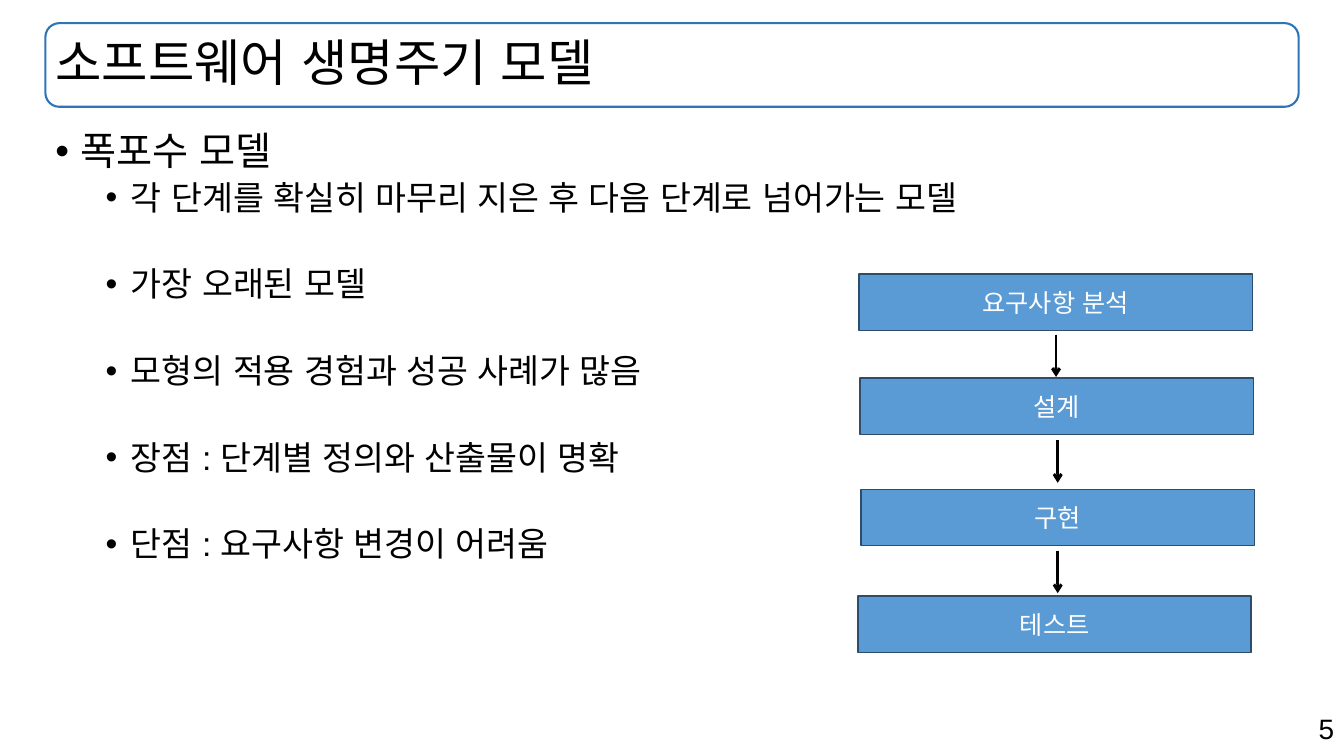
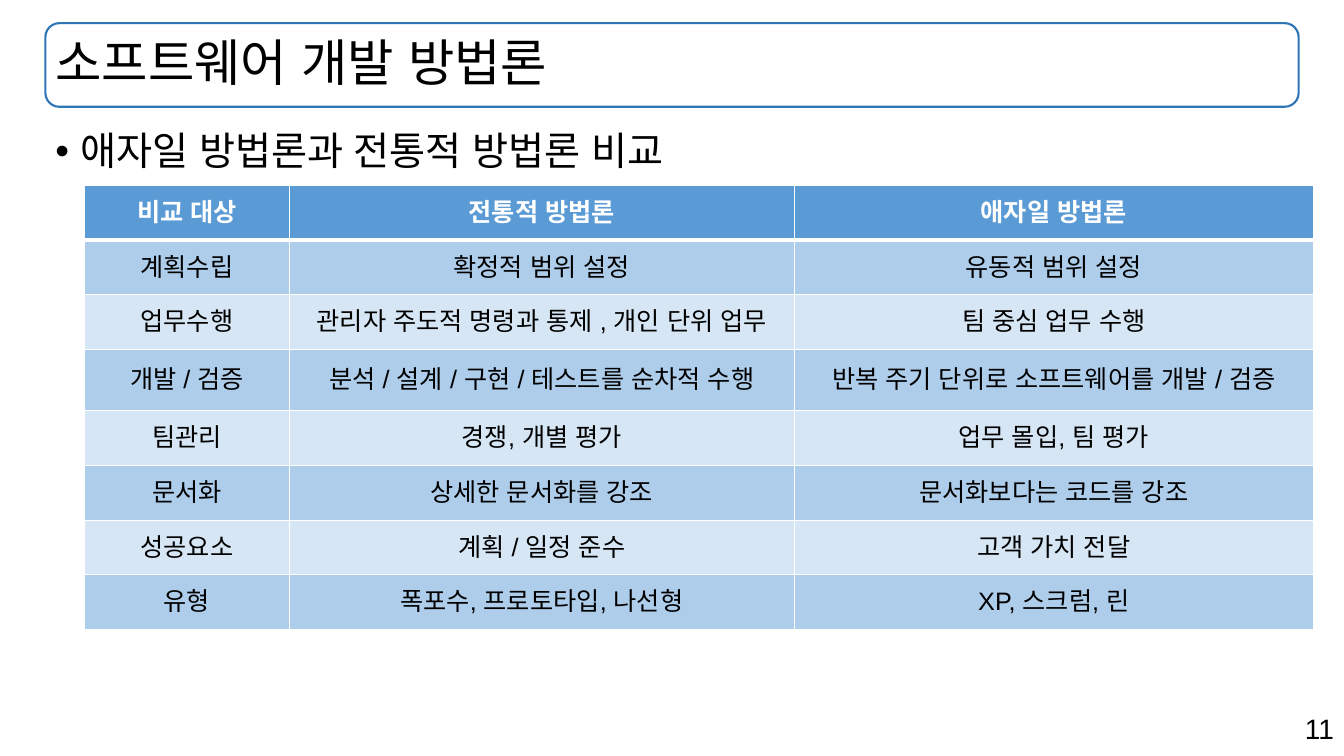
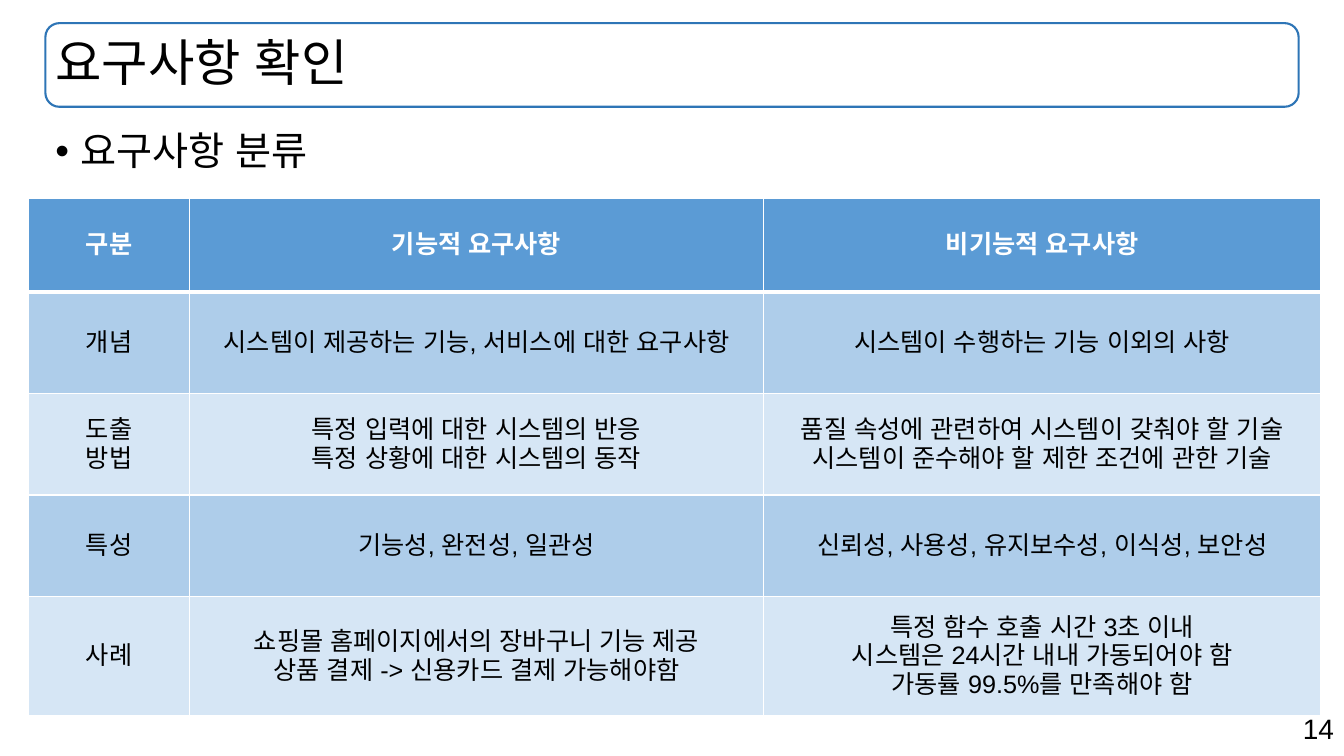
from pptx import Presentation
from pptx.dml.color import RGBColor as Rgb
from pptx.enum.lang import MSO_LANGUAGE_ID as Lang
from pptx.enum.shapes import MSO_CONNECTOR as Link, MSO_SHAPE as Form
from pptx.enum.text import MSO_ANCHOR as Anchor, MSO_AUTO_SIZE as Fit, PP_ALIGN as Align
from pptx.oxml.ns import qn
from pptx.util import Inches, Pt
from lxml.etree import SubElement as sub

WIDE, HIGH = Inches(13.33), Inches(7.5)
COLS, ROWS = 40, 30
FACE = "Arial"
HUES = {
    "ink": "000000", "paper": "FFFFFF", "frame": "2E75B6", "blue": "5B9BD5",
    "edge": "2D4D6A", "dark": "AECDEA", "light": "D6E6F5",
}
BAND = (1.35, 0.92, 37.3, 3.32)


def hue(name):
    return Rgb.from_string(HUES[name])


def col(num):
    return round(WIDE * num / COLS)


def row(num):
    return round(HIGH * num / ROWS)


def area(left, top, wide, high):
    return col(left), row(top), col(wide), row(high)


def write(frame, text, size=18, color="ink", bold=False, align=Align.CENTER,
          lead=1, gaps=(), dents=()):
    for num, line in enumerate(text.split("\n")):
        para = frame.paragraphs[0] if num == 0 else frame.add_paragraph()
        if dents:
            props = para._p.get_or_add_pPr()
            props.set("marL", str(Inches(dents[num])))
            props.set("indent", str(Inches(-0.25)))
            sub(props, qn("a:buFont"), typeface=FACE)
            sub(props, qn("a:buChar"), char="•")
        para.alignment = align
        para.line_spacing = lead
        if num and gaps:
            para.space_before = Pt(gaps[num])
        run = para.add_run()
        run.text = line
        font = run.font
        font.name = FACE
        font.size = Pt(size if num == 0 or not dents else size - 4)
        font.bold = bold
        font.language_id = Lang.KOREAN
        font.color.rgb = hue(color)
        sub(run._r.get_or_add_rPr(), qn("a:ea"), typeface=FACE)


class Deck:
    """Holds the shared style and the slide being built."""

    def __init__(self):
        self.show = Presentation()
        self.show.slide_width, self.show.slide_height = WIDE, HIGH
        self.page = None

    def start(self, title, num):
        self.page = self.show.slides.add_slide(self.show.slide_layouts[5])
        head = self.page.shapes.title
        head.left, head.top, head.width, head.height = area(*BAND)
        frame = head.text_frame
        frame.auto_size = Fit.NONE
        frame.vertical_anchor = Anchor.MIDDLE
        write(frame, title, size=36, align=Align.LEFT, lead=0.9)
        self.shape(Form.ROUNDED_RECTANGLE, BAND, None, "frame", 1.5)
        self.text((28.3, 28.04, 11.7, 1.76), str(num), size=20, align=Align.RIGHT)

    def shape(self, form, spot, fill, line, width):
        item = self.page.shapes.add_shape(form, *area(*spot))
        item.shadow.inherit = False
        if fill:
            item.fill.solid()
            item.fill.fore_color.rgb = hue(fill)
        else:
            item.fill.background()
        item.line.color.rgb = hue(line)
        item.line.width = Pt(width)
        return item

    def text(self, spot, text, **style):
        frame = self.page.shapes.add_textbox(*area(*spot)).text_frame
        frame.word_wrap = True
        write(frame, text, **style)

    def points(self, head, *items):
        count = len(items)
        self.text((1.35, 5.04, 37.3, 24.52), "\n".join((head, *items)), size=28,
                  align=Align.LEFT, lead=0.9, dents=[0.25] + [0.75] * count,
                  gaps=[0, 5] + [36] * (count - 1))

    def step(self, left, top, text):
        box = self.shape(Form.RECTANGLE, (left, top, 11.7, 2.24), "blue", "edge", 1)
        box.text_frame.vertical_anchor = Anchor.MIDDLE
        write(box.text_frame, text, color="paper")

    def arrow(self, left, top):
        line = self.page.shapes.add_connector(
            Link.STRAIGHT, col(left), row(top), col(left), row(top + 1.68))
        line.line.color.rgb = hue("ink")
        line.line.width = Pt(2)
        sub(line.line._get_or_add_ln(), qn("a:tailEnd"), type="arrow")
        sub(line._element.spPr, qn("a:effectLst"))

    def table(self, left, top, wides, highs, data):
        spot = area(left, top, sum(wides), sum(highs))
        grid = self.page.shapes.add_table(len(highs), len(wides), *spot).table
        for part, wide in zip(grid.columns, wides):
            part.width = col(wide)
        for part, high in zip(grid.rows, highs):
            part.height = row(high)
        for r, texts in enumerate(data):
            for c, text in enumerate(texts):
                self.cell(grid.cell(r, c), r, text)

    def cell(self, cell, r, text):
        props = cell._tc.get_or_add_tcPr()
        for side in "LRTB":
            thick = (r == 0 and side == "B") or (r == 1 and side == "T")
            line = sub(props, qn("a:ln" + side), w=str(Pt(3 if thick else 1)))
            sub(sub(line, qn("a:solidFill")), qn("a:srgbClr"), val=HUES["paper"])
        cell.fill.solid()
        cell.fill.fore_color.rgb = hue("blue" if r == 0 else ("light", "dark")[r % 2])
        cell.vertical_anchor = Anchor.MIDDLE
        write(cell.text_frame, text, color="ink" if r else "paper", bold=r == 0)


def main():
    deck = Deck()

    deck.start("소프트웨어 생명주기 모델", 5)
    deck.points(
        "폭포수 모델",
        "각 단계를 확실히 마무리 지은 후 다음 단계로 넘어가는 모델",
        "가장 오래된 모델",
        "모형의 적용 경험과 성공 사례가 많음",
        "장점 : 단계별 정의와 산출물이 명확",
        "단점 : 요구사항 변경이 어려움",
    )
    for left, top, text in (
        (25.57, 10.88, "요구사항 분석"), (25.6, 15, "설계"),
        (25.63, 19.42, "구현"), (25.54, 23.66, "테스트"),
    ):
        deck.step(left, top, text)
    for left, top in ((31.43, 13.28), (31.48, 17.48), (31.48, 21.86)):
        deck.arrow(left, top)

    deck.start("소프트웨어 개발 방법론", 11)
    deck.points("애자일 방법론과 전통적 방법론 비교")
    deck.table(2.52, 7.36, (6.09, 15.03, 15.45), [2.17] * 3 + [2.44] + [2.17] * 4, (
        ("비교 대상", "전통적 방법론", "애자일 방법론"),
        ("계획수립", "확정적 범위 설정", "유동적 범위 설정"),
        ("업무수행", "관리자 주도적 명령과 통제 , 개인 단위 업무", "팀 중심 업무 수행"),
        ("개발 / 검증", "분석 / 설계 / 구현 / 테스트를 순차적 수행",
         "반복 주기 단위로 소프트웨어를 개발 / 검증"),
        ("팀관리", "경쟁, 개별 평가", "업무 몰입, 팀 평가"),
        ("문서화", "상세한 문서화를 강조", "문서화보다는 코드를 강조"),
        ("성공요소", "계획 / 일정 준수", "고객 가치 전달"),
        ("유형", "폭포수, 프로토타입, 나선형", "XP, 스크럼, 린"),
    ))

    deck.start("요구사항 확인", 14)
    deck.points("요구사항 분류")
    deck.table(0.85, 7.88, (4.8, 17.07, 16.6), [3.7] + [4.03] * 3 + [4.74], (
        ("구분", "기능적 요구사항", "비기능적 요구사항"),
        ("개념", "시스템이 제공하는 기능, 서비스에 대한 요구사항",
         "시스템이 수행하는 기능 이외의 사항"),
        ("도출\n방법", "특정 입력에 대한 시스템의 반응\n특정 상황에 대한 시스템의 동작",
         "품질 속성에 관련하여 시스템이 갖춰야 할 기술\n시스템이 준수해야 할 제한 조건에 관한 기술"),
        ("특성", "기능성, 완전성, 일관성", "신뢰성, 사용성, 유지보수성, 이식성, 보안성"),
        ("사례", "쇼핑몰 홈페이지에서의 장바구니 기능 제공\n상품 결제 -> 신용카드 결제 가능해야함",
         "특정 함수 호출 시간 3초 이내\n시스템은 24시간 내내 가동되어야 함\n가동률 99.5%를 만족해야 함"),
    ))

    deck.show.save("out.pptx")


if __name__ == "__main__":
    main()
